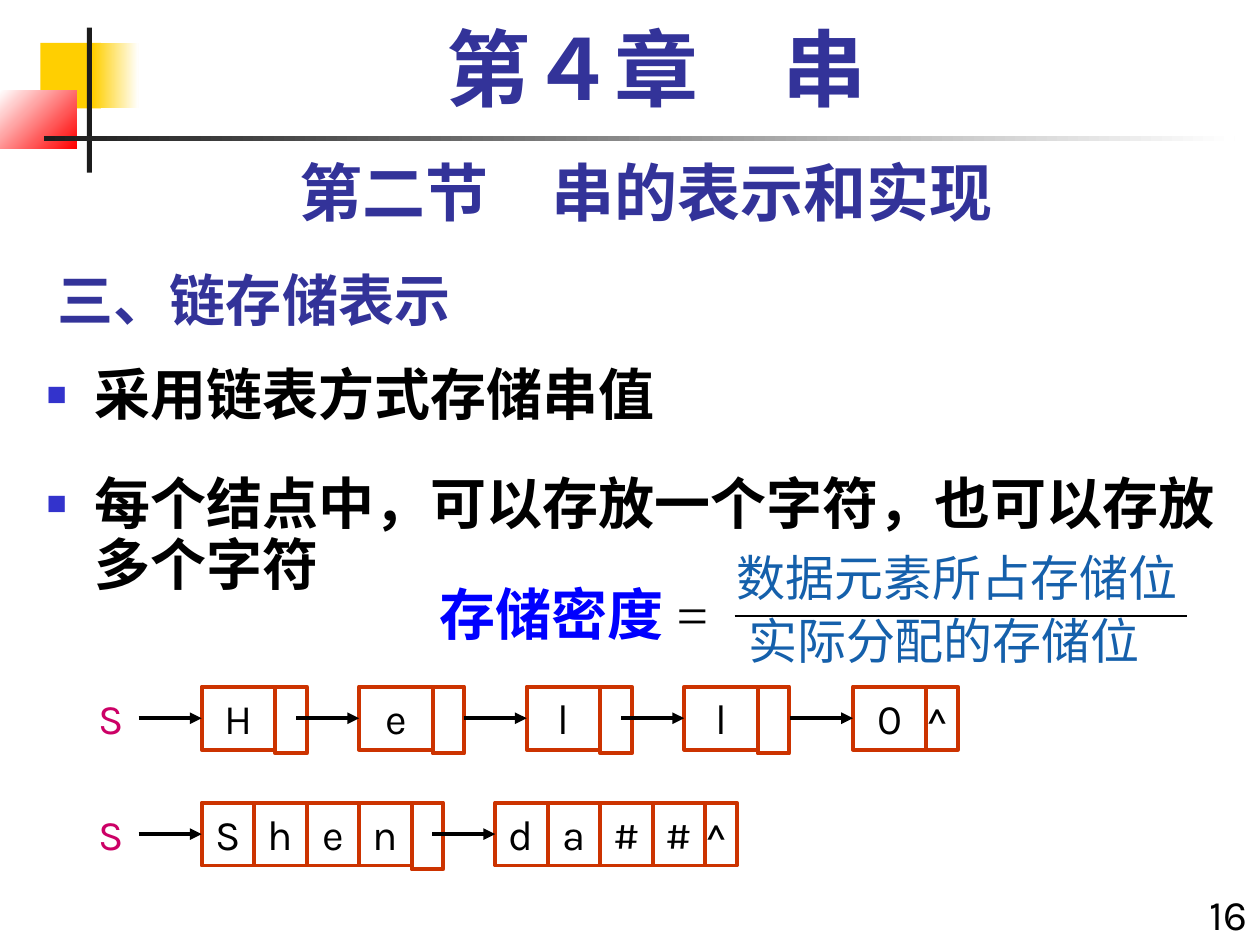
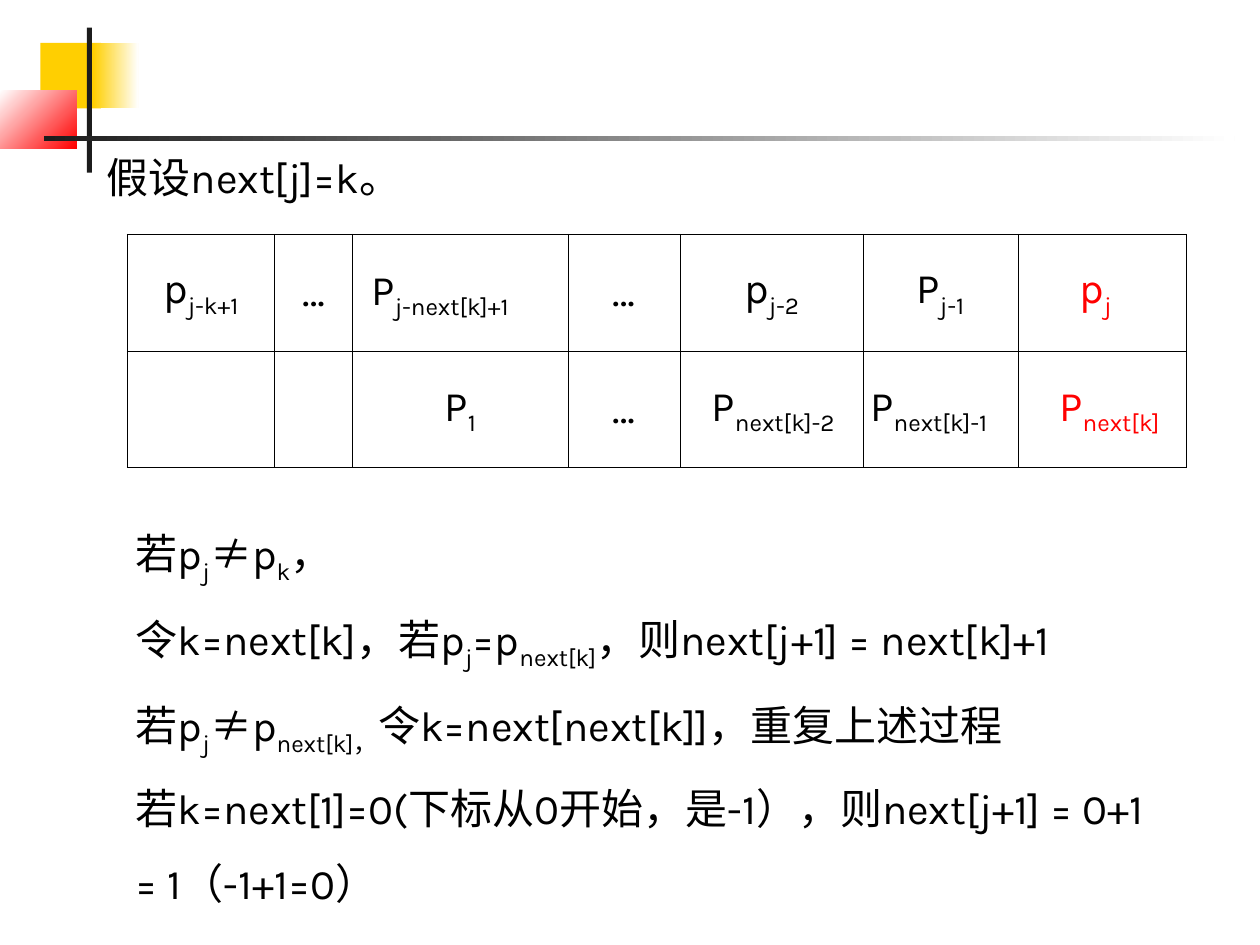
from pptx import Presentation
from pptx.dml.color import RGBColor
from pptx.enum.shapes import MSO_CONNECTOR, MSO_SHAPE
from pptx.enum.text import MSO_ANCHOR, MSO_AUTO_SIZE, PP_ALIGN
from pptx.oxml.ns import qn
from pptx.util import Inches, Pt
from lxml.etree import SubElement

COLORS = {
    "black": "000000", "white": "FFFFFF", "ink": "1C1C1C", "yellow": "FFCF01",
    "red": "FF0000", "navy": "333399", "bullet": "3333CC", "node": "CC3300",
    "pointer": "CC0066", "blue": "0000FF", "fraction": "1560AB",
}
LATIN, CHINESE, SERIF = "Karla", "Noto Sans CJK SC", "Times New Roman"
LINK = 0.5
POINTER_WIDTH = 0.25
CELL_HEIGHT = 0.5


def rgb(name):
    return RGBColor.from_string(COLORS[name])


def inches(area):
    return [Inches(value) for value in area]


def style(para, size=24, color="black", name=LATIN, bold=False, align=PP_ALIGN.LEFT):
    para.alignment = align
    para.font.size = Pt(size)
    para.font.bold = bold
    para.font.name = name
    para.font.color.rgb = rgb(color)
    defaults = para._p.pPr.find(qn("a:defRPr"))
    SubElement(defaults, qn("a:ea"), typeface=CHINESE)


def write(para, text, **look):
    for index, piece in enumerate(text.split("|")):
        for part in filter(None, piece.partition("≠")):
            span = para.add_run()
            span.text = part
            if part == "≠":
                span.font.name = CHINESE
            if index % 2:
                span._r.get_or_add_rPr().set("baseline", "-25000")
    style(para, **look)


def add_text(page, area, *lines, spacing=None, **look):
    box = page.shapes.add_textbox(*inches(area))
    frame = box.text_frame
    frame.word_wrap = True
    for index, line in enumerate(lines):
        para = frame.add_paragraph() if index else frame.paragraphs[0]
        if spacing:
            para.line_spacing = spacing
        write(para, line, **look)
    return box


def add_rectangle(page, area, fill=(), angle=0, line=None):
    shape = page.shapes.add_shape(MSO_SHAPE.RECTANGLE, *inches(area))
    shape.shadow.inherit = False
    if len(fill) == 2:
        shape.fill.gradient()
        shape.fill.gradient_angle = angle
        for stop, color in zip(shape.fill.gradient_stops, fill):
            stop.color.rgb = rgb(color)
    elif fill:
        shape.fill.solid()
        shape.fill.fore_color.rgb = rgb(fill[0])
    else:
        shape.fill.background()
    if line:
        shape.line.color.rgb = rgb(line)
        shape.line.width = Pt(2.25)
    else:
        shape.line.fill.background()
    return shape


def add_line(page, start, end, width, arrow=False):
    line = page.shapes.add_connector(MSO_CONNECTOR.STRAIGHT, *inches(start + end))
    line.line.color.rgb = rgb("black")
    line.line.width = Pt(width)
    if arrow:
        SubElement(line.line._get_or_add_ln(), qn("a:tailEnd"), type="triangle")
    SubElement(line.element.spPr, qn("a:effectLst"))
    return line


def decorate_master(deck, page):
    ornaments = [
        ((0.32, 0.34, 0.48, 0.52), ["yellow"], 0),
        ((0.74, 0.34, 0.36, 0.52), ["yellow", "white"], 0),
        ((0, 0.72, 0.61, 0.46), ["white", "red"], 315),
        ((0.69, 0.22, 0.04, 1.15), ["ink"], 0),
        ((0.35, 1.08, 9.45, 0.04), ["ink", "white"], 0),
    ]
    tree = deck.slide_master.element.cSld.spTree
    for number, (area, fill, angle) in enumerate(ornaments, 101):
        shape = add_rectangle(page, area, fill, angle)
        shape.element.nvSpPr.cNvPr.set("id", str(number))
        tree.append(shape.element)


def place(holder, area):
    holder.left, holder.top, holder.width, holder.height = inches(area)
    holder.text_frame.auto_size = MSO_AUTO_SIZE.NONE
    return holder.text_frame


def add_bullet(para):
    properties = para._p.get_or_add_pPr()
    properties.set("marL", str(Inches(0.38)))
    properties.set("indent", str(Inches(-0.38)))
    color = SubElement(properties, qn("a:buClr"))
    SubElement(color, qn("a:srgbClr"), val=COLORS["bullet"])
    SubElement(properties, qn("a:buSzPct"), val="60000")
    SubElement(properties, qn("a:buChar"), char="■")


def fill_bullets(frame, lines):
    for index, line in enumerate(lines):
        para = frame.add_paragraph() if index else frame.paragraphs[0]
        add_bullet(para)
        para.line_spacing = 0.9
        para.space_before = Pt(28)
        write(para, line, size=32, name=CHINESE, bold=True)


def add_cell(page, left, top, width, letter, align=PP_ALIGN.CENTER, margin=0.1):
    cell = add_rectangle(page, (left, top, width, CELL_HEIGHT), line="node")
    frame = cell.text_frame
    frame.margin_left = frame.margin_right = Inches(margin)
    write(frame.paragraphs[0], letter, align=align)
    return cell


def add_chain(page, top, width, nodes):
    middle = top + CELL_HEIGHT / 2
    add_text(page, (0.68, top, 0.5, 0.5), "S", color="pointer")
    for number, (left, letters) in enumerate(nodes, 1):
        cells = [add_cell(page, left + index * width, top, width, letter)
                 for index, letter in enumerate(letters)]
        pointer = left + len(letters) * width
        if number == len(nodes):
            add_cell(page, pointer, top, POINTER_WIDTH, "^", PP_ALIGN.LEFT, 0)
        else:
            add_rectangle(page, (pointer, top, POINTER_WIDTH, 0.53), line="node")
        arrow = add_line(page, (left - LINK, middle), (left, middle), 2.25, arrow=True)
        arrow.end_connect(cells[0], 1)


def add_density_formula(page):
    label = add_text(page, (3.39, 4.55, 2.67, 0.64), "存储密度 ",
                     size=32, color="blue", name=SERIF, bold=True)
    equals = label.text_frame.paragraphs[0].add_run()
    equals.text = "="
    equals.font.bold = False
    equals.font.color.rgb = rgb("black")
    add_line(page, (5.83, 4.89), (9.42, 4.89), 0.75)
    for area, text in [((5.75, 4.3, 4, 0.57), "数据元素所占存储位"),
                       ((5.84, 4.8, 3.9, 0.57), "实际分配的存储位")]:
        add_text(page, area, text, size=28, color="fraction", name=SERIF)


def border_cell(cell):
    properties = cell._tc.get_or_add_tcPr()
    for index, side in enumerate(("a:lnL", "a:lnR", "a:lnT", "a:lnB")):
        line = properties.makeelement(qn(side), {"w": str(Pt(0.45))})
        solid = SubElement(line, qn("a:solidFill"))
        SubElement(solid, qn("a:srgbClr"), val=COLORS["black"])
        properties.insert(index, line)


def add_pattern_table(page, area, widths, heights, rows):
    table = page.shapes.add_table(len(rows), len(widths), *inches(area)).table
    table.first_row = table.horz_banding = False
    for column, width in zip(table.columns, widths):
        column.width = Inches(width)
    for row, height, texts in zip(table.rows, heights, rows):
        row.height = Inches(height)
        for cell, text in zip(row.cells, texts):
            cell.fill.solid()
            cell.fill.fore_color.rgb = rgb("white")
            cell.vertical_anchor = MSO_ANCHOR.MIDDLE
            border_cell(cell)
            write(cell.text_frame.paragraphs[0], text, align=PP_ALIGN.CENTER)


def build_linked_storage(page):
    title = place(page.shapes.title, (0.36, 1.94, 6.25, 0.75))
    title.vertical_anchor = MSO_ANCHOR.BOTTOM
    write(title.paragraphs[0], "三、链存储表示", size=32, color="navy",
          name=CHINESE, bold=True)
    body = place(page.placeholders[1], (0.27, 2.86, 9.58, 4.42))
    fill_bullets(body, ["采用链表方式存储串值",
                        "每个结点中，可以存放一个字符，也可以存放多个字符"])
    heading = {"color": "navy", "bold": True, "align": PP_ALIGN.CENTER}
    add_text(page, (0.67, 0.17, 9.08, 0.83), "第４章　串", size=48, name=SERIF,
             spacing=0.9, **heading)
    add_text(page, (0.5, 1.17, 9.25, 0.7), "第二节　串的表示和实现", size=36, **heading)
    add_text(page, (9.33, 7, 0.67, 0.59), "16", align=PP_ALIGN.RIGHT)
    add_chain(page, 5.45, 7 / 12,
              [(1.6, "H"), (2.85, "e"), (4.18, "l"), (5.43, "l"), (6.77, "0")])
    add_chain(page, 6.37, 5 / 12, [(1.6, "Shen"), (3.93, "da##")])
    add_density_formula(page)


def build_next_function(page):
    add_pattern_table(
        page, (1.01, 1.86, 8.4, 1.85),
        [1.17, 0.62, 1.71, 0.89, 1.45, 1.23, 1.34], [0.93, 0.92],
        [["p|j-k+1", "…", "", "…", "p|j-2", "P|j-1", ""],
         ["", "", "", "…", "", "", ""]])
    add_text(page, (0.75, 1.15, 8.27, 0.5), "假设next[j]=k。")
    add_text(page, (0.98, 3.91, 8.27, 3.75),
             "若p|j|≠p|k|，",
             "令k=next[k]，若p|j|=p|next[k]|，则next[j+1] = next[k]+1",
             "若p|j|≠p|next[k]，|令k=next[next[k]]，重复上述过程",
             "若k=next[1]=0(下标从0开始，是-1），则next[j+1] = 0+1 = 1（-1+1=0）",
             spacing=1.5)
    for area, text, color in [
        ((8.47, 2.03, 0.63, 0.56), "p|j", "red"),
        ((8.31, 2.96, 1.1, 0.56), "P|next[k]", "red"),
        ((6.81, 2.96, 1.34, 0.56), "P|next[k]-1", "black"),
        ((5.55, 2.96, 1.34, 0.56), "P|next[k]-2", "black"),
        ((2.85, 2.04, 1.69, 0.56), "P|j-next[k]+1", "black"),
        ((3.43, 2.96, 0.71, 0.56), "P|1", "black"),
    ]:
        add_text(page, area, text, color=color)


def main():
    deck = Presentation()
    deck.slide_width, deck.slide_height = Inches(10), Inches(7.5)
    storage = deck.slides.add_slide(deck.slide_layouts[1])
    decorate_master(deck, storage)
    build_linked_storage(storage)
    build_next_function(deck.slides.add_slide(deck.slide_layouts[6]))
    deck.save("out.pptx")


if __name__ == "__main__":
    main()
